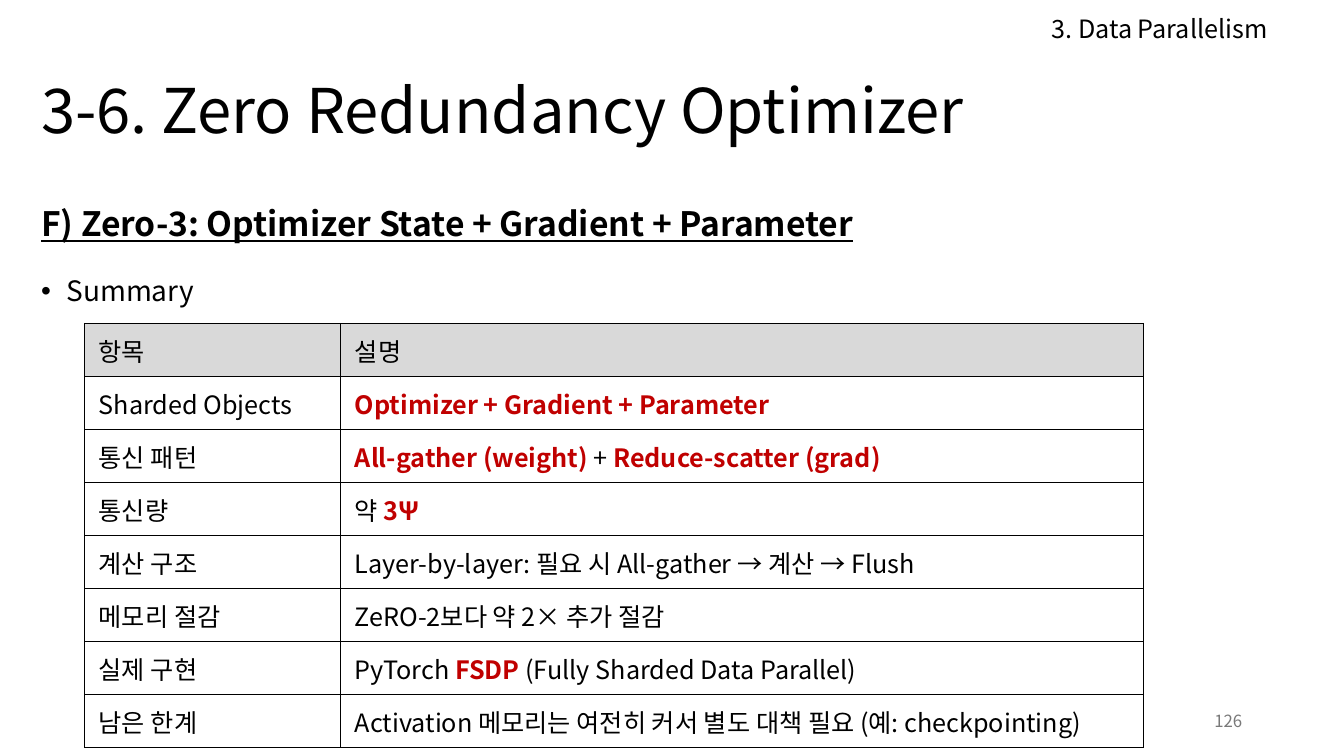
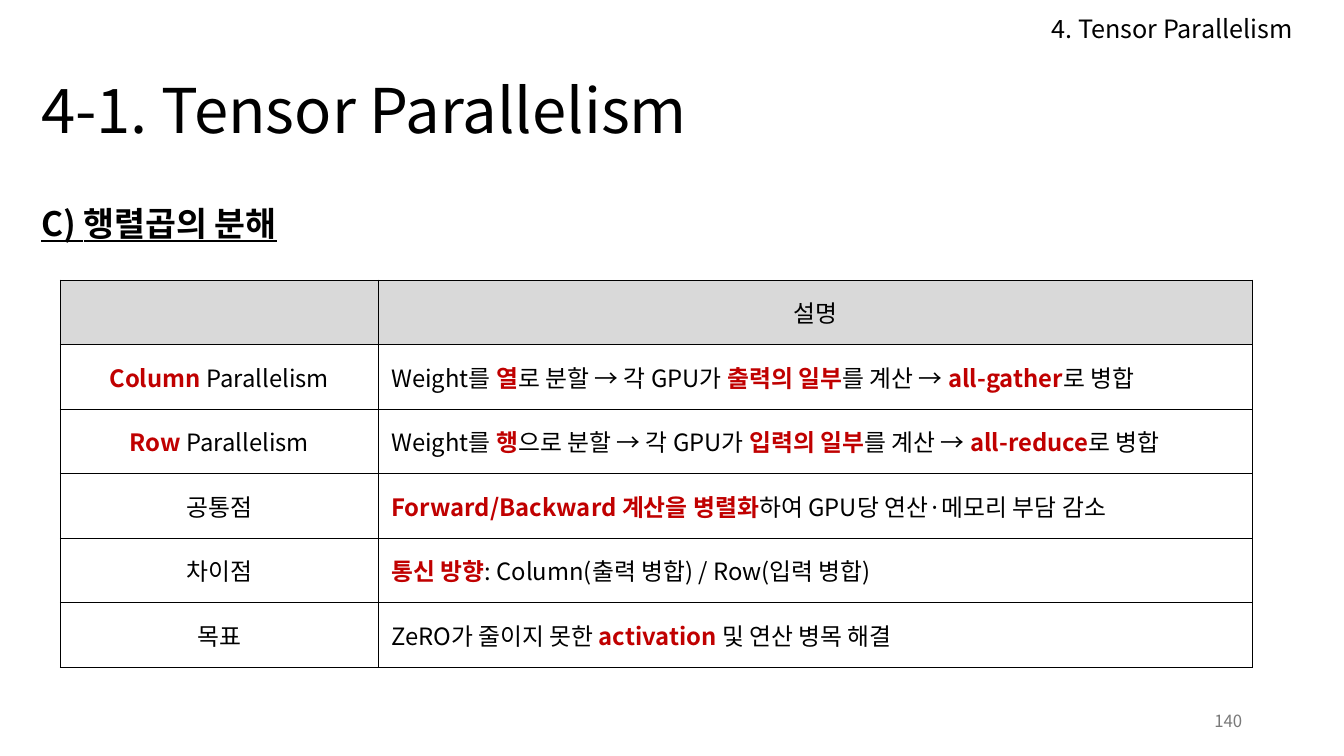
from lxml import etree
from pptx import Presentation
from pptx.dml.color import RGBColor
from pptx.enum.text import MSO_ANCHOR, PP_ALIGN
from pptx.oxml.ns import qn
from pptx.util import Inches, Pt

LEFT, CENTER, RIGHT = PP_ALIGN.LEFT, PP_ALIGN.CENTER, PP_ALIGN.RIGHT
TOP, MIDDLE = MSO_ANCHOR.TOP, MSO_ANCHOR.MIDDLE

FONT = "Noto Sans CJK KR"
COLORS = {"text": "000000", "accent": "C00000", "header": "D9D9D9",
          "border": "000000", "number": "797979"}

TITLE_BOX = (0.31, 0.68, 12.74, 0.89)
CHAPTER_BOX = (10.33, 0.08, 2.72, 0.4)
BODY_BOX = (0.31, 1.76, 12.74, 1.4)
NUMBER_BOX = (9.42, 6.95, 3, 0.4)

# Asterisks enclose the emphasised part of a cell.
SLIDES = [
    {
        "chapter": "3. Data Parallelism",
        "title": "3-6. Zero Redundancy Optimizer",
        "heading": "F) Zero-3: Optimizer State + Gradient + Parameter",
        "bullets": ["Summary"],
        "number": "126",
        "table": {
            "box": (0.84, 3.21, 10.5, 4.21),
            "label_width": 2.54,
            "size": 18,
            "inset": 0.14,
            "label_align": LEFT,
            "header_align": LEFT,
            "rows": [
                ("항목", "설명"),
                ("Sharded Objects", "*Optimizer + Gradient + Parameter*"),
                ("통신 패턴", "*All-gather (weight)* + *Reduce-scatter (grad)*"),
                ("통신량", "약 *3Ψ*"),
                ("계산 구조", "Layer-by-layer: 필요 시 All-gather → 계산 → Flush"),
                ("메모리 절감", "ZeRO-2보다 약 2× 추가 절감"),
                ("실제 구현", "PyTorch *FSDP* (Fully Sharded Data Parallel)"),
                ("남은 한계",
                 "Activation 메모리는 여전히 커서 별도 대책 필요 (예: checkpointing)"),
            ],
        },
    },
    {
        "chapter": "4. Tensor Parallelism",
        "title": "4-1. Tensor Parallelism",
        "heading": "C) 행렬곱의 분해",
        "bullets": [],
        "number": "140",
        "table": {
            "box": (0.6, 2.78, 11.82, 3.84),
            "label_width": 3.15,
            "size": 17,
            "inset": 0.13,
            "label_align": CENTER,
            "header_align": CENTER,
            "rows": [
                ("", "설명"),
                ("*Column* Parallelism",
                 "Weight를 *열*로 분할 → 각 GPU가 *출력의 일부*를 계산 → *all-gather*로 병합"),
                ("*Row* Parallelism",
                 "Weight를 *행*으로 분할 → 각 GPU가 *입력의 일부*를 계산 → *all-reduce*로 병합"),
                ("공통점",
                 "*Forward/Backward 계산을 병렬화*하여 GPU당 연산·메모리 부담 감소"),
                ("차이점", "*통신 방향*: Column(출력 병합) / Row(입력 병합)"),
                ("목표", "ZeRO가 줄이지 못한 *activation *및 연산 병목 해결"),
            ],
        },
    },
]


def set_all(target, formats):
    for name, value in formats.items():
        setattr(target, name, value)


def add_span(para, text, size, color="text", bold=False, underline=False):
    span = para.add_run()
    span.text = text
    set_all(span.font, {"name": FONT, "size": Pt(size), "bold": bold,
                        "underline": underline})
    span.font.color.rgb = RGBColor.from_string(COLORS[color])
    etree.SubElement(span.font._element, qn("a:ea"), typeface=FONT)


def add_text_box(page, box, anchor=TOP):
    frame = page.shapes.add_textbox(*map(Inches, box)).text_frame
    set_all(frame, {"word_wrap": True, "vertical_anchor": anchor})
    return frame


def add_label(page, box, text, size, color="text", anchor=TOP, **para_formats):
    para = add_text_box(page, box, anchor).paragraphs[0]
    set_all(para, para_formats)
    add_span(para, text, size, color)


def add_bullet(para, indent):
    properties = para._p.get_or_add_pPr()
    properties.set("marL", str(Inches(indent)))
    properties.set("indent", str(-Inches(indent)))
    etree.SubElement(properties, qn("a:buFont"), typeface="Arial")
    etree.SubElement(properties, qn("a:buChar"), char="•")


def add_body(page, heading, bullets):
    frame = add_text_box(page, BODY_BOX)
    para = frame.paragraphs[0]
    para.line_spacing = 1.5
    add_span(para, heading, 24, bold=True, underline=True)
    for text in bullets:
        para = frame.add_paragraph()
        add_bullet(para, 0.25)
        set_all(para, {"line_spacing": 1.5, "space_before": Pt(10)})
        add_span(para, text, 20)


def add_borders(cell):
    properties = cell._tc.get_or_add_tcPr()
    for side in ("lnL", "lnR", "lnT", "lnB"):
        line = etree.SubElement(properties, qn(f"a:{side}"), w=str(Pt(1)))
        fill = etree.SubElement(line, qn("a:solidFill"))
        etree.SubElement(fill, qn("a:srgbClr"), val=COLORS["border"])


def fill_cell(cell, text, size, inset, align, is_header):
    side, edge = Inches(inset), Inches(0.06)
    set_all(cell, {"margin_left": side, "margin_right": side, "margin_top": edge,
                   "margin_bottom": edge, "vertical_anchor": MIDDLE})
    add_borders(cell)
    if is_header:
        cell.fill.solid()
        cell.fill.fore_color.rgb = RGBColor.from_string(COLORS["header"])
    else:
        cell.fill.background()
    para = cell.text_frame.paragraphs[0]
    para.alignment = align
    for index, part in enumerate(text.split("*")):
        emphasised = index % 2 == 1
        if part:
            add_span(para, part, size, "accent" if emphasised else "text", emphasised)


def add_summary_table(page, box, label_width, size, inset, label_align,
                      header_align, rows):
    table = page.shapes.add_table(len(rows), 2, *map(Inches, box)).table
    set_all(table, {"first_row": False, "horz_banding": False})
    for column, width in zip(table.columns, (label_width, box[2] - label_width)):
        column.width = Inches(width)
    for row_index, texts in enumerate(rows):
        is_header = row_index == 0
        aligns = (label_align, header_align if is_header else LEFT)
        for column_index, (text, align) in enumerate(zip(texts, aligns)):
            fill_cell(table.cell(row_index, column_index), text, size, inset,
                      align, is_header)


def add_slide(deck, content):
    page = deck.slides.add_slide(deck.slide_layouts[6])
    add_label(page, TITLE_BOX, content["title"], 44, anchor=MIDDLE, line_spacing=0.9)
    add_label(page, CHAPTER_BOX, content["chapter"], 18)
    add_body(page, content["heading"], content["bullets"])
    add_summary_table(page, **content["table"])
    add_label(page, NUMBER_BOX, content["number"], 12, "number", MIDDLE,
              alignment=RIGHT)


def main():
    deck = Presentation()
    set_all(deck, {"slide_width": Inches(13.33), "slide_height": Inches(7.5)})
    for content in SLIDES:
        add_slide(deck, content)
    deck.save("out.pptx")


if __name__ == "__main__":
    main()
